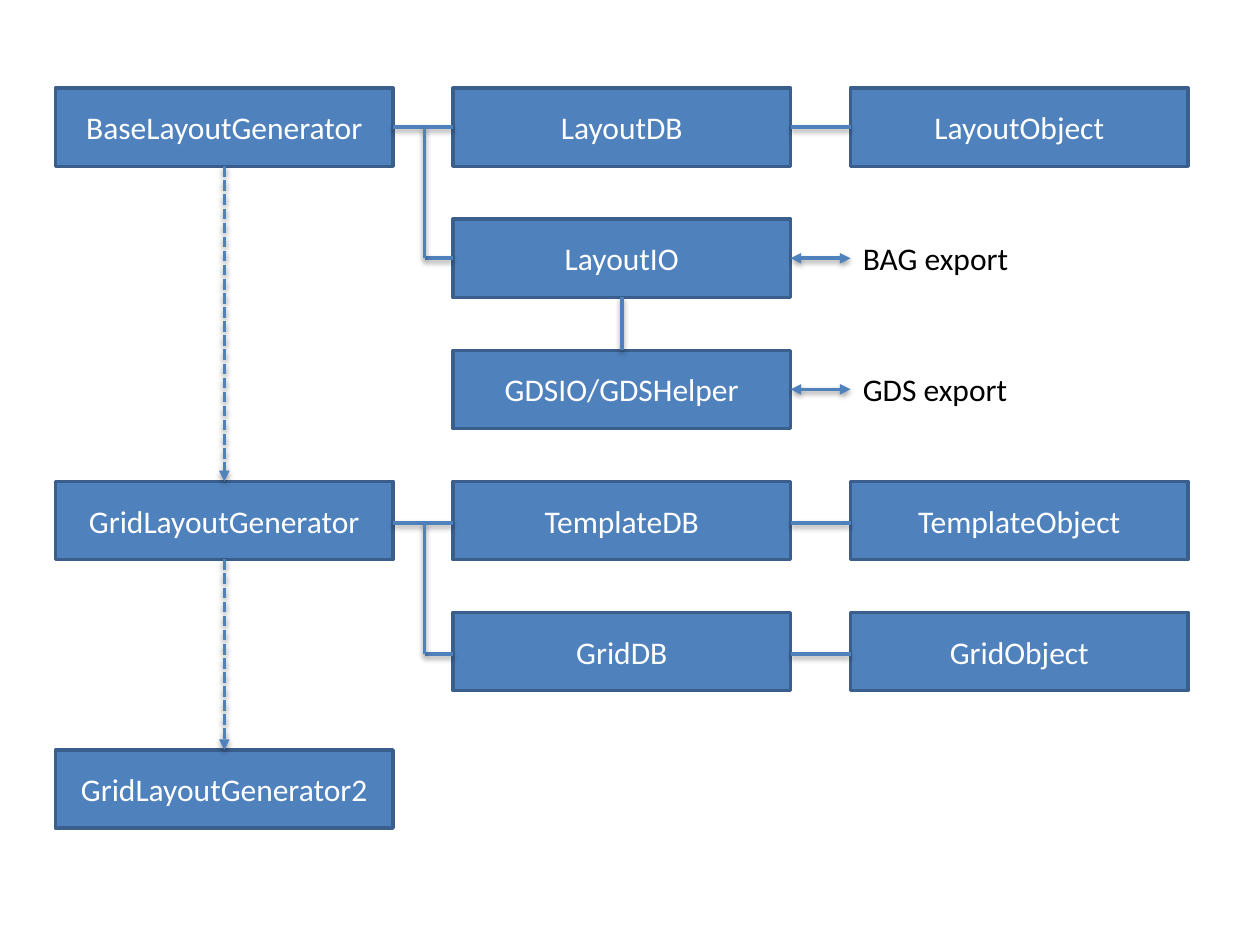
from lxml import etree
from pptx import Presentation, util as u
from pptx.dml.color import RGBColor
from pptx.enum import dml, shapes, text
from pptx.oxml import parse_xml
from pptx.oxml.ns import qn

LEFT, TOP = 0.44, 0.7
COL, ROW = 3.155, 1.04
BOX_W, BOX_H = 2.68, 0.62
BRANCH_X = 3.37
LAST_ROW = 5.05
BLUE, EDGE, WHITE, BLACK = "4F81BD", "3A5F8C", "FFFFFF", "000000"

BOXES = [
    ("BaseLayoutGenerator", 0, 0), ("LayoutDB", 1, 0), ("LayoutObject", 2, 0),
    ("LayoutIO", 1, 1), ("GDSIO/GDSHelper", 1, 2),
    ("GridLayoutGenerator", 0, 3), ("TemplateDB", 1, 3), ("TemplateObject", 2, 3),
    ("GridDB", 1, 4), ("GridObject", 2, 4),
    ("GridLayoutGenerator2", 0, LAST_ROW),
]
LABELS = [("BAG export", 2, 1), ("GDS export", 2, 2)]

SHADOW = (
    '<a:effectLst xmlns:a="http://schemas.openxmlformats.org/drawingml/2006/main">'
    '<a:outerShdw blurRad="40000" dist="20000" dir="5400000" rotWithShape="0">'
    '<a:srgbClr val="000000"><a:alpha val="38000"/></a:srgbClr>'
    '</a:outerShdw></a:effectLst>'
)


def rgb(value):
    """Turn a hex string into a colour."""
    return RGBColor.from_string(value)


def left(col):
    """Return the left edge of a column."""
    return LEFT + col * COL


def right(col):
    """Return the right edge of a column's box."""
    return left(col) + BOX_W


def top(row):
    """Return the top edge of a row."""
    return TOP + row * ROW


def middle(row):
    """Return the vertical centre of a row."""
    return top(row) + BOX_H / 2


def frame(col, row):
    """Return the position and size of a grid cell."""
    return [u.Inches(v) for v in (left(col), top(row), BOX_W, BOX_H)]


def set_text(sp, words, color, align):
    """Write one line of text, centred vertically in its shape."""
    tf = sp.text_frame
    tf.word_wrap = True
    tf.vertical_anchor = text.MSO_ANCHOR.MIDDLE
    p = tf.paragraphs[0]
    p.text = words
    p.alignment = align
    font = p.runs[0].font
    font.name, font.size = "Calibri", u.Pt(18)
    font.color.rgb = rgb(color)


def add_box(s, words, col, row):
    """Add a class box in a grid cell."""
    sp = s.shapes.add_shape(shapes.MSO_SHAPE.RECTANGLE, *frame(col, row))
    sp.shadow.inherit = False
    sp.fill.solid()
    sp.fill.fore_color.rgb = rgb(BLUE)
    sp.line.color.rgb = rgb(EDGE)
    sp.line.width = u.Pt(2)
    set_text(sp, words, WHITE, text.PP_ALIGN.CENTER)


def add_label(s, words, col, row):
    """Add a plain label in a grid cell."""
    set_text(s.shapes.add_textbox(*frame(col, row)), words, BLACK, text.PP_ALIGN.LEFT)


def add_line(s, x1, y1, x2, y2, arrows=(), dashed=False):
    """Add a shadowed line with optional arrowheads and dashes."""
    ends = [u.Inches(v) for v in (x1, y1, x2, y2)]
    line = s.shapes.add_connector(shapes.MSO_CONNECTOR.STRAIGHT, *ends)
    line.line.color.rgb = rgb(BLUE)
    line.line.width = u.Pt(2)
    if dashed:
        line.line.dash_style = dml.MSO_LINE.SQUARE_DOT
    ln = line.line._get_or_add_ln()
    for end in arrows:
        etree.SubElement(ln, qn(f"a:{end}")).set("type", "triangle")
    line._element.spPr.append(parse_xml(SHADOW))


def add_link(s, col, row, arrows=()):
    """Join a box to its right-hand neighbour."""
    add_line(s, right(col), middle(row), left(col + 1), middle(row), arrows)


def add_branch(s, row):
    """Branch from a generator's link to the box one row below."""
    add_line(s, BRANCH_X, middle(row + 1), left(1), middle(row + 1))
    add_line(s, BRANCH_X, middle(row + 1), BRANCH_X, middle(row))


def add_drop(s, col, start, end, **style):
    """Join two boxes of one column from top to bottom."""
    x = left(col) + BOX_W / 2
    add_line(s, x, top(start) + BOX_H, x, top(end), **style)


def main():
    """Build the class diagram."""
    prs = Presentation()
    prs.slide_width, prs.slide_height = u.Inches(10), u.Inches(7.5)
    s = prs.slides.add_slide(prs.slide_layouts[6])
    for box in BOXES:
        add_box(s, *box)
    for col, row in [(0, 0), (1, 0), (0, 3.02), (1, 3.02), (1, 4.02)]:
        add_link(s, col, row)
    for row in (0, 3.02):
        add_branch(s, row)
    add_drop(s, 1, 1, 2)
    for label in LABELS:
        add_label(s, *label)
        add_link(s, 1, label[2], ("headEnd", "tailEnd"))
    for start, end in [(0, 3), (3, LAST_ROW)]:
        add_drop(s, 0, start, end, arrows=("tailEnd",), dashed=True)
    prs.save("out.pptx")


if __name__ == "__main__":
    main()
